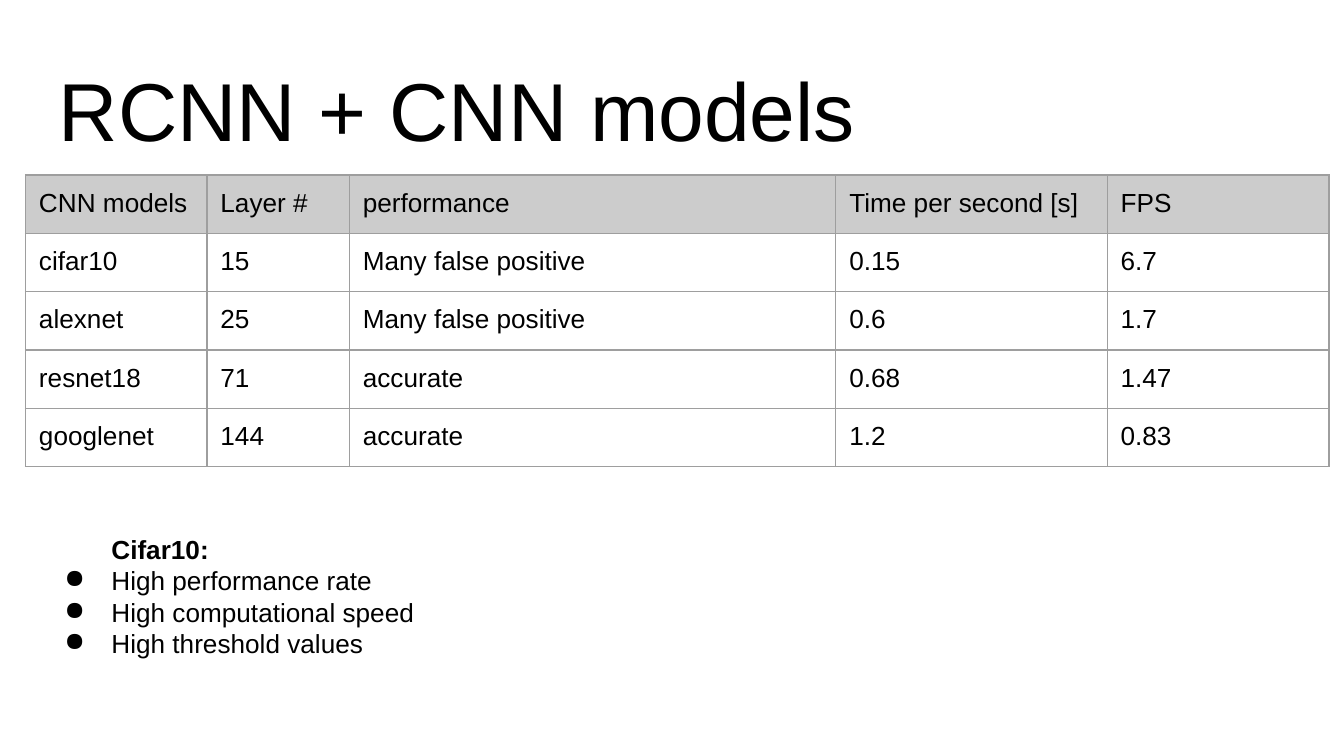
from lxml.etree import SubElement
from pptx import Presentation
from pptx.dml.color import RGBColor
from pptx.enum.text import MSO_ANCHOR as Anchor
from pptx.oxml.ns import qn
from pptx.util import Pt

BLACK = RGBColor(0x00, 0x00, 0x00)
HEADER_GREY = RGBColor(0xCC, 0xCC, 0xCC)
BORDER_GREY = RGBColor(0x9E, 0x9E, 0x9E)
FONT = "Arial"

TITLE = "RCNN + CNN models"
MODELS = [
    ("CNN models", "Layer #", "performance", "Time per second [s]", "FPS"),
    ("cifar10", "15", "Many false positive", "0.15", "6.7"),
    ("alexnet", "25", "Many false positive", "0.6", "1.7"),
    ("resnet18", "71", "accurate", "0.68", "1.47"),
    ("googlenet", "144", "accurate", "1.2", "0.83"),
]
COLUMN_WIDTHS = (97.2, 76.3, 260.6, 145.4, 118.8)
ROW_HEIGHT = 30
FINDINGS_HEADING = "Cifar10:"
FINDINGS = ["High performance rate", "High computational speed", "High threshold values"]


def write(para, text, size=14, bold=False, indent=None, bullet=None):
    """Fill a paragraph; indent is (left margin, first-line offset) in points."""
    props = para._p.get_or_add_pPr()
    if indent:
        margin, offset = indent
        props.set("marL", str(Pt(margin)))
        props.set("indent", str(Pt(offset)))
    if bullet:
        color = SubElement(props, qn("a:buClr"))
        SubElement(color, qn("a:srgbClr"), val=str(BLACK))
        SubElement(props, qn("a:buChar"), char=bullet)
    span = para.add_run()
    span.text = text
    span.font.name = FONT
    span.font.size = Pt(size)
    span.font.bold = bold
    span.font.color.rgb = BLACK


def set_margins(target, across, down):
    target.margin_left = target.margin_right = Pt(across)
    target.margin_top = target.margin_bottom = Pt(down)


def add_frame(page, left, top, width, height, anchor, inset_down):
    box = page.shapes.add_textbox(Pt(left), Pt(top), Pt(width), Pt(height))
    frame = box.text_frame
    frame.word_wrap = True
    frame.vertical_anchor = anchor
    set_margins(frame, 7.2, inset_down)
    return frame


def add_borders(cell):
    props = cell._tc.get_or_add_tcPr()
    for position, side in enumerate(("lnL", "lnR", "lnT", "lnB")):
        line = SubElement(props, qn(f"a:{side}"), w=str(Pt(0.75)))
        fill = SubElement(line, qn("a:solidFill"))
        SubElement(fill, qn("a:srgbClr"), val=str(BORDER_GREY))
        props.insert(position, line)


def add_model_table(page, left, top):
    table = page.shapes.add_table(
        len(MODELS), len(COLUMN_WIDTHS), Pt(left), Pt(top),
        Pt(sum(COLUMN_WIDTHS)), Pt(ROW_HEIGHT * len(MODELS))).table
    table.horz_banding = False
    for column, width in zip(table.columns, COLUMN_WIDTHS):
        column.width = Pt(width)
    for row_index, values in enumerate(MODELS):
        table.rows[row_index].height = Pt(ROW_HEIGHT)
        for column_index, value in enumerate(values):
            cell = table.cell(row_index, column_index)
            set_margins(cell, 7.2, 7.2)
            if row_index == 0:
                cell.fill.solid()
                cell.fill.fore_color.rgb = HEADER_GREY
            else:
                cell.fill.background()
            add_borders(cell)
            write(cell.text_frame.paragraphs[0], value)


def main():
    deck = Presentation()
    deck.slide_width, deck.slide_height = Pt(720), Pt(405)
    page = deck.slides.add_slide(deck.slide_layouts[6])

    title = add_frame(page, 24.5, 35.3, 671, 45.4, Anchor.MIDDLE, 3.6)
    write(title.paragraphs[0], TITLE, size=44)

    add_model_table(page, 13.7, 93.8)

    findings = add_frame(page, 16.6, 278.6, 547.2, 99.4, Anchor.TOP, 7.2)
    write(findings.paragraphs[0], FINDINGS_HEADING, bold=True, indent=(36, 0))
    for finding in FINDINGS:
        write(findings.add_paragraph(), finding, indent=(36, -25.2), bullet="●")

    deck.save("out.pptx")


if __name__ == "__main__":
    main()
